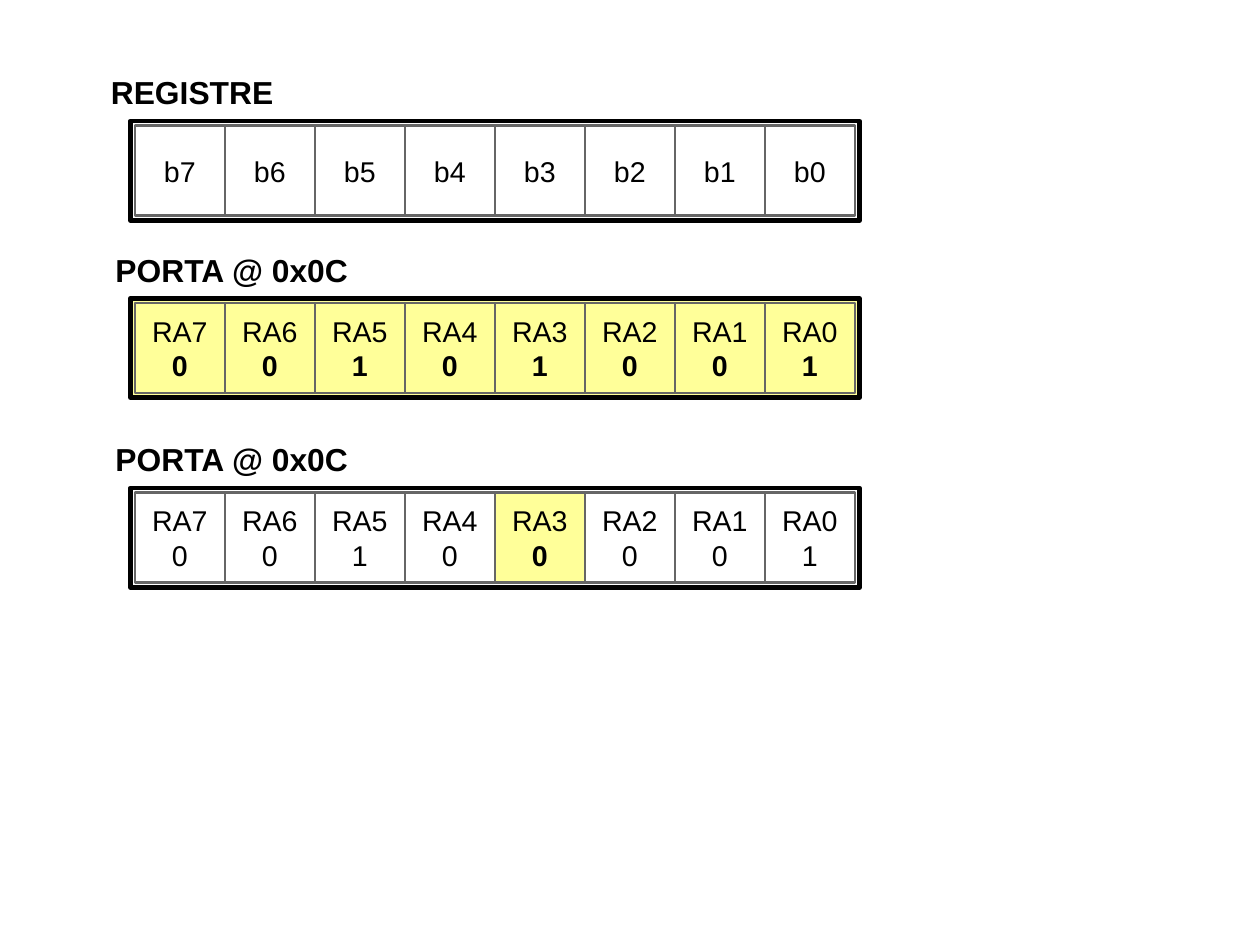
from pptx import Presentation
from pptx.dml.color import RGBColor
from pptx.enum.shapes import MSO_SHAPE
from pptx.enum.text import MSO_ANCHOR, MSO_AUTO_SIZE, PP_ALIGN
from pptx.util import Inches, Pt

RECTANGLE = MSO_SHAPE.RECTANGLE
MIDDLE, TOP = MSO_ANCHOR.MIDDLE, MSO_ANCHOR.TOP
GROW, FIXED = MSO_AUTO_SIZE.SHAPE_TO_FIT_TEXT, MSO_AUTO_SIZE.NONE
CENTER = PP_ALIGN.CENTER

BLACK = RGBColor(0x00, 0x00, 0x00)
GRAY = RGBColor(0x66, 0x66, 0x66)
WHITE = RGBColor(0xFF, 0xFF, 0xFF)
YELLOW = RGBColor(0xFF, 0xFF, 0x99)

# Content: bits run from 7 down to 0, "lit" holds the highlighted bit numbers
REGISTERS = [
    {"heading": "REGISTRE ", "heading_width": 1.7, "top": 1.06,
     "prefix": "b", "values": "", "lit": (), "frame_fill": WHITE},
    {"heading": "PORTA @ 0x0C ", "heading_width": 2.39, "top": 2.61,
     "prefix": "RA", "values": "00101001", "lit": range(8),
     "frame_fill": YELLOW},
    {"heading": "PORTA @ 0x0C ", "heading_width": 2.39, "top": 4.27,
     "prefix": "RA", "values": "00100001", "lit": (3,), "frame_fill": None},
]

# Layout in inches; the page is 28 by 21 cm
CM = 1 / 2.54
PAGE_WIDTH, PAGE_HEIGHT = 28 * CM, 21 * CM
BITS = 8
CELL = 2 * CM
MARGIN = 0.04
FRAME_LEFT, FRAME_WIDTH, FRAME_HEIGHT = 1.14, 6.38, 0.87
HEADING_LEFT, HEADING_HEIGHT, HEADING_RISE = 0.87, 0.41, 0.47

prs = Presentation()
prs.slide_width, prs.slide_height = Inches(PAGE_WIDTH), Inches(PAGE_HEIGHT)
slide = prs.slides.add_slide(prs.slide_layouts[6])


def add_box(left, top, width, height, fill, line, weight):
    box = slide.shapes.add_shape(RECTANGLE, Inches(left), Inches(top),
                                 Inches(width), Inches(height))
    box.shadow.inherit = False
    if fill is None:
        box.fill.background()
    else:
        box.fill.solid()
        box.fill.fore_color.rgb = fill
    box.line.color.rgb = line
    box.line.width = Pt(weight)
    return box


def write(shape, lines, size=18, bold=(False,), anchor=MIDDLE,
          inset=(0.11, 0.06), fit=FIXED):
    """Write one centred paragraph per line; bold holds one flag per line."""
    frame = shape.text_frame
    frame.word_wrap = False
    frame.auto_size = fit
    frame.vertical_anchor = anchor
    frame.margin_left = frame.margin_right = Inches(inset[0])
    frame.margin_top = frame.margin_bottom = Inches(inset[1])
    frame.text = "\n".join(lines)
    for paragraph, is_bold in zip(frame.paragraphs, bold):
        paragraph.alignment = CENTER
        font = paragraph.runs[0].font
        font.name, font.size, font.bold = "Arial", Pt(size), is_bold
        font.color.rgb = BLACK


for register in REGISTERS:
    top = register["top"]

    # Outer frame
    add_box(FRAME_LEFT, top, FRAME_WIDTH, FRAME_HEIGHT,
            register["frame_fill"], BLACK, 2.83)

    # Bit cells
    for column in range(BITS):
        bit = BITS - 1 - column
        lit = bit in register["lit"]
        cell = add_box(FRAME_LEFT + MARGIN + column * CELL, top + MARGIN,
                       CELL, CELL, YELLOW if lit else None, GRAY, 1.5)
        value = register["values"][column:column + 1]
        lines = [f"{register['prefix']}{bit}"] + list(value)
        write(cell, lines, bold=(False, lit))

    # Heading above the frame
    heading = slide.shapes.add_textbox(
        Inches(HEADING_LEFT), Inches(top - HEADING_RISE),
        Inches(register["heading_width"]), Inches(HEADING_HEIGHT))
    write(heading, [register["heading"]], size=20, bold=(True,),
          anchor=TOP, inset=(0.1, 0.05), fit=GROW)

prs.save("out.pptx")
